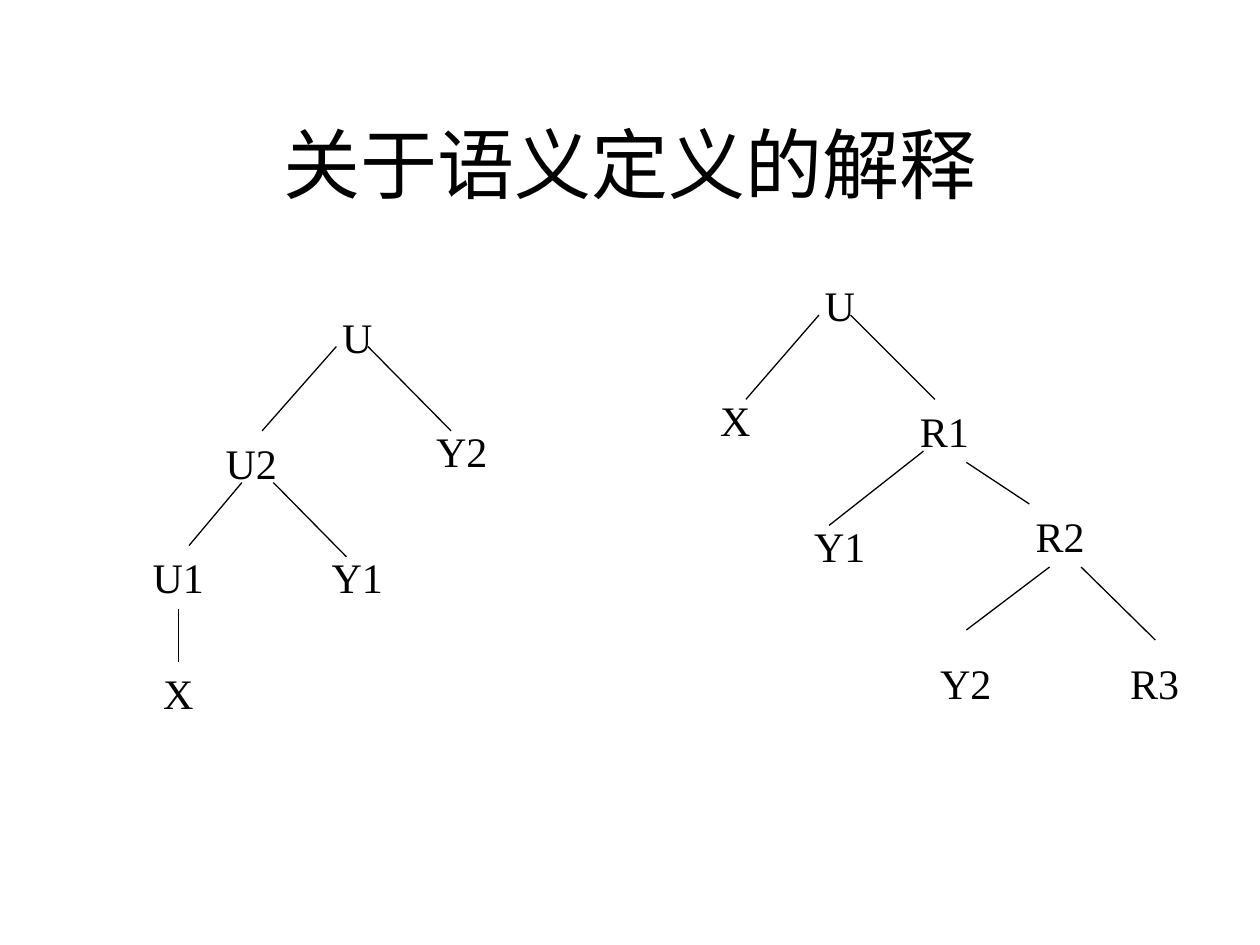
from pptx import Presentation
from pptx.dml.color import RGBColor
from pptx.enum.shapes import MSO_CONNECTOR
from pptx.enum.text import MSO_ANCHOR, MSO_AUTO_SIZE, PP_ALIGN
from pptx.oxml.ns import qn
from pptx.util import Inches, Pt
from lxml.etree import SubElement

COLORS = {"ink": "000000"}
INK = RGBColor.from_string(COLORS["ink"])
TITLE_FONT = {"name": "Times New Roman", "size": Pt(44)}
NODE_FONT = {"name": "Times New Roman", "size": Pt(24)}
WIDE, NARROW, NODE_HEIGHT = 0.83, 0.67, 0.5

# Nodes: label -> left, top, width; edges: x1, y1, x2, y2 (inches within the tree's box)
LEFT_TREE = {
    "nodes": {
        "U": (1.42, 0, WIDE), "U2": (0.58, 1, WIDE), "U1": (0, 1.91, WIDE),
        "X": (0.08, 2.83, NARROW), "Y2": (2.25, 0.91, WIDE), "Y1": (1.42, 1.91, WIDE),
    },
    "edges": [
        (1.92, 0.33, 2.58, 1), (1.67, 0.33, 1.08, 1),
        (0.92, 1.41, 0.5, 1.91), (1.17, 1.41, 1.75, 2),
    ],
    "stems": [("U1", "X")],
}
RIGHT_TREE = {
    "nodes": {
        "U": (0.75, 0, WIDE), "R1": (1.58, 1, WIDE), "R2": (2.5, 1.83, WIDE),
        "X": (0, 0.91, NARROW), "Y2": (1.75, 3, WIDE), "Y1": (0.75, 1.91, WIDE),
        "R3": (3.33, 3, NARROW),
    },
    "edges": [
        (1.25, 0.33, 1.92, 1), (1, 0.33, 0.42, 1), (1.83, 1.41, 1.08, 2),
        (2.83, 2.33, 2.17, 2.83), (2.17, 1.5, 2.67, 1.83), (3.08, 2.33, 3.67, 2.91),
    ],
    "stems": [],
}


def write_text(box, text, font_format):
    frame = box.text_frame
    frame.word_wrap = True
    para = frame.paragraphs[0]
    para.alignment = PP_ALIGN.CENTER
    span = para.add_run()
    span.text = text
    for name, value in font_format.items():
        setattr(span.font, name, value)
    span.font.color.rgb = INK


def add_title(page, left, top, width, height):
    title = page.shapes.title
    place = {"left": left, "top": top, "width": width, "height": height}
    for name, value in place.items():
        setattr(title, name, Inches(value))
    write_text(title, "关于语义定义的解释", TITLE_FONT)
    title.text_frame.vertical_anchor = MSO_ANCHOR.MIDDLE


def add_edge(page, x1, y1, x2, y2):
    edge = page.shapes.add_connector(
        MSO_CONNECTOR.STRAIGHT, Inches(x1), Inches(y1), Inches(x2), Inches(y2))
    edge.line.color.rgb = INK
    edge.line.width = Pt(0.75)
    SubElement(edge.element.spPr, qn("a:effectLst"))
    return edge


def add_tree(page, left, top, tree):
    # Node labels
    boxes = {}
    for label, (x, y, width) in tree["nodes"].items():
        box = page.shapes.add_textbox(
            Inches(left + x), Inches(top + y), Inches(width), Inches(NODE_HEIGHT))
        write_text(box, label, NODE_FONT)
        box.text_frame.auto_size = MSO_AUTO_SIZE.SHAPE_TO_FIT_TEXT
        boxes[label] = box

    # Slanted branches
    for x1, y1, x2, y2 in tree["edges"]:
        add_edge(page, left + x1, top + y1, left + x2, top + y2)

    # Vertical stems, joined from bottom to top
    for parent, child in tree["stems"]:
        stem = add_edge(page, left, top, left, top)
        stem.begin_connect(boxes[parent], 2)
        stem.end_connect(boxes[child], 0)


def main():
    deck = Presentation()
    deck.slide_width, deck.slide_height = Inches(10), Inches(7.5)
    page = deck.slides.add_slide(deck.slide_layouts[5])
    add_title(page, 0.75, 0.67, 8.5, 1.25)
    add_tree(page, 1, 2.42, LEFT_TREE)
    add_tree(page, 5.5, 2.17, RIGHT_TREE)
    deck.save("out.pptx")


if __name__ == "__main__":
    main()
